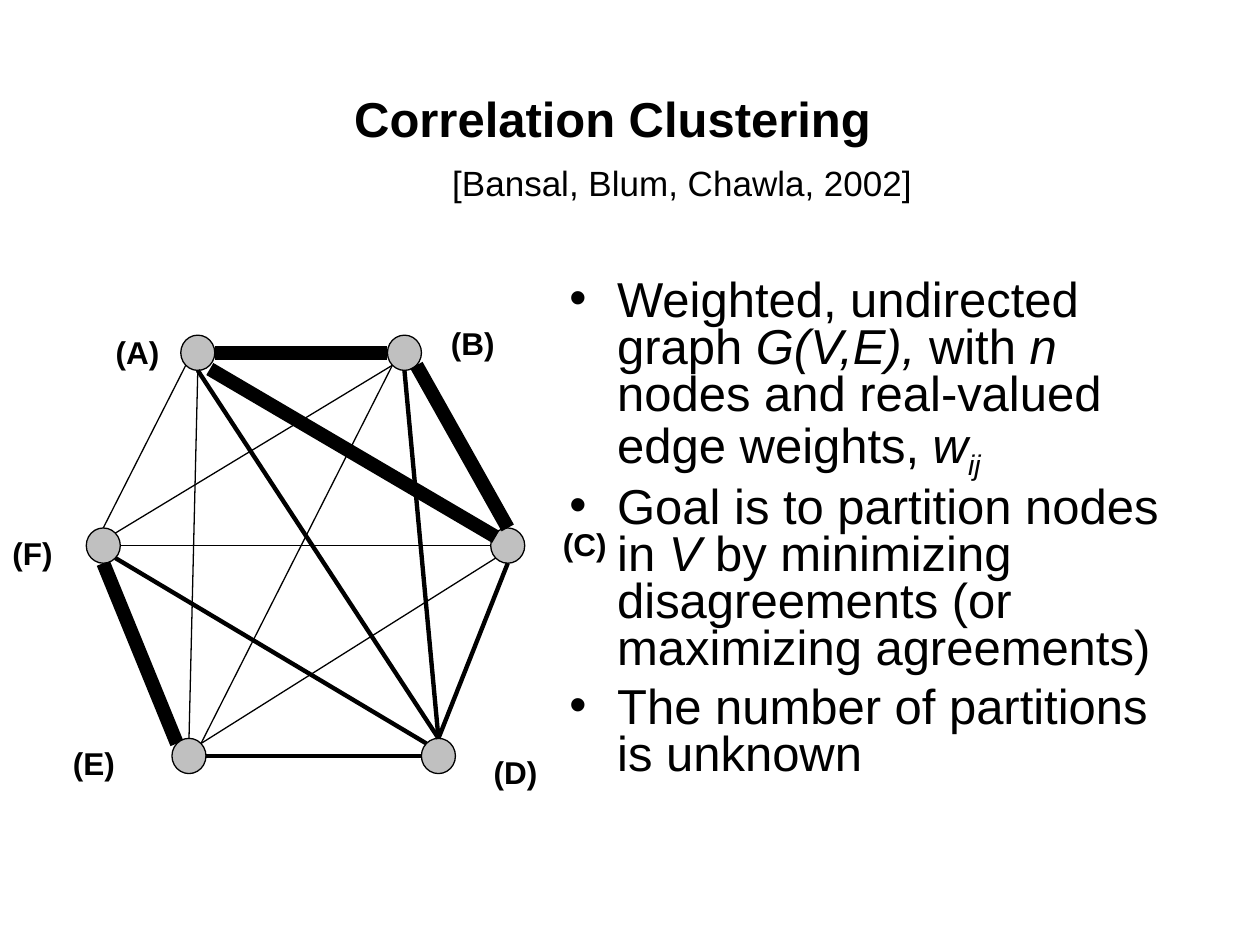
from dataclasses import dataclass, field

import pptx
import pptx.dml.color
import pptx.enum.shapes
import pptx.enum.text
import pptx.oxml.ns
import pptx.util
from lxml import etree

Inches = pptx.util.Inches
Pt = pptx.util.Pt
RGBColor = pptx.dml.color.RGBColor
MSO_SHAPE = pptx.enum.shapes.MSO_SHAPE
qn = pptx.oxml.ns.qn


@dataclass(frozen=True)
class Theme:
    font: str = "Arial"
    ink: RGBColor = field(default_factory=lambda: RGBColor(0, 0, 0))
    paper: RGBColor = field(default_factory=lambda: RGBColor(255, 255, 255))
    node: RGBColor = field(default_factory=lambda: RGBColor(0xC0, 0xC0, 0xC0))
    heading_size: float = 28
    citation_size: float = 20
    label_size: float = 18
    hairline: float = 0.75
    thin: float = 1
    medium: float = 2.5
    heavy: float = 8


@dataclass(frozen=True)
class Node:
    x: float  # centre
    y: float
    label_left: float
    label_top: float


@dataclass(frozen=True)
class Edge:
    start: str  # node and compass point on its rim, such as "A:SE"
    end: str
    weight: float
    drop: float = 0


@dataclass(frozen=True)
class Run:
    text: str
    italic: bool = False
    subscript: bool = False


THEME = Theme()
NODE_WIDTH, NODE_HEIGHT = 0.27, 0.28
LABEL_WIDTH, LABEL_HEIGHT = 0.54, 0.4

NODES = {
    "A": Node(1.57, 2.8, 0.82, 2.59),
    "B": Node(3.21, 2.8, 3.48, 2.52),
    "C": Node(4.03, 4.33, 4.37, 4.12),
    "D": Node(3.48, 6, 3.82, 5.93),
    "E": Node(1.5, 6, 0.48, 5.86),
    "F": Node(0.82, 4.33, 0, 4.19),
}
EDGES_BEHIND = (
    Edge("E:NW", "F:S", THEME.heavy),
    Edge("F:E", "C:W", THEME.thin),
    Edge("C:SW", "E:NE", THEME.hairline),
)
EDGES_IN_FRONT = (
    Edge("E:E", "D:W", THEME.medium),
    Edge("C:S", "D:N", THEME.medium),
    Edge("D:NW", "F:SE", THEME.medium),
    Edge("A:SW", "F:N", THEME.hairline),
    Edge("A:E", "B:W", THEME.heavy),
    Edge("C:N", "B:SE", THEME.heavy),
    Edge("A:SE", "C:NW", THEME.heavy, drop=0.03),
    Edge("A:S", "D:N", THEME.medium),
    Edge("A:S", "E:N", THEME.hairline),
    Edge("B:SW", "F:NE", THEME.hairline),
    Edge("B:S", "D:N", THEME.medium),
    Edge("B:SW", "E:NE", THEME.hairline),
)
BULLETS = (
    (
        Run("Weighted, undirected graph "), Run("G(V,E), ", True), Run("with "),
        Run("n", True), Run(" nodes and real-valued edge weights, "),
        Run("w", True), Run("ij", True, True),
    ),
    (
        Run("Goal is to partition nodes in "), Run("V", True),
        Run(" by minimizing disagreements (or maximizing agreements)"),
    ),
    (Run("The number of partitions is unknown"),),
)


def set_font(paragraph, size: float, bold: bool | None = None) -> None:
    font = paragraph.font
    font.name, font.size, font.bold = THEME.font, Pt(size), bold
    font.color.rgb = THEME.ink


def add_text_frame(slide, left: float, top: float, width: float, height: float):
    box = slide.shapes.add_textbox(
        Inches(left), Inches(top), Inches(width), Inches(height)
    )
    box.text_frame.word_wrap = True
    return box.text_frame


def add_bullet(paragraph, indent: float) -> None:
    properties = paragraph._p.get_or_add_pPr()
    properties.set("marL", str(Inches(indent)))
    properties.set("indent", str(Inches(-indent)))
    etree.SubElement(properties, qn("a:buFont"), typeface=THEME.font)
    etree.SubElement(properties, qn("a:buChar"), char="•")


def add_tab_stops(paragraph, count: int) -> None:
    tabs = etree.SubElement(paragraph._p.get_or_add_pPr(), qn("a:tabLst"))
    for inch in range(count):
        etree.SubElement(tabs, qn("a:tab"), pos=str(Inches(inch)), algn="l")


def add_body(slide) -> None:
    frame = add_text_frame(slide, 4.42, 2.17, 5.08, 4.5)
    for index, runs in enumerate(BULLETS):
        paragraph = frame.add_paragraph() if index else frame.paragraphs[0]
        paragraph.line_spacing = 0.8
        paragraph.space_before = Pt(7 if index else 0)
        add_bullet(paragraph, 0.38)
        set_font(paragraph, THEME.heading_size)
        for item in runs:
            run = paragraph.add_run()
            run.text = item.text
            if item.italic:
                run.font.italic = True
            if item.subscript:
                run.font._element.set("baseline", "-25000")


def add_title(slide) -> None:
    frame = add_text_frame(slide, 0.75, 0.67, 8.33, 1)
    frame.vertical_anchor = pptx.enum.text.MSO_ANCHOR.MIDDLE
    paragraph = frame.paragraphs[0]
    paragraph.alignment = pptx.enum.text.PP_ALIGN.CENTER
    add_tab_stops(paragraph, 8)
    set_font(paragraph, THEME.heading_size, bold=True)
    paragraph.add_run().text = "Correlation Clustering "
    paragraph.add_line_break()
    paragraph.add_run().text = "\t"
    citation = paragraph.add_run()
    citation.text = "[Bansal, Blum, Chawla, 2002]"
    citation.font.size, citation.font.bold = Pt(THEME.citation_size), False


def add_label(slide, name: str, node: Node) -> None:
    label = slide.shapes.add_shape(
        MSO_SHAPE.RECTANGLE, Inches(node.label_left), Inches(node.label_top),
        Inches(LABEL_WIDTH), Inches(LABEL_HEIGHT),
    )
    label.shadow.inherit = False
    label.fill.solid()
    label.fill.fore_color.rgb = THEME.paper
    label.line.fill.background()
    frame = label.text_frame
    frame.word_wrap = False
    frame.vertical_anchor = pptx.enum.text.MSO_ANCHOR.TOP
    paragraph = frame.paragraphs[0]
    paragraph.text = f"({name})"
    paragraph.alignment = pptx.enum.text.PP_ALIGN.LEFT
    set_font(paragraph, THEME.label_size, bold=True)


def add_node(slide, node: Node) -> None:
    circle = slide.shapes.add_shape(
        MSO_SHAPE.OVAL, Inches(node.x - NODE_WIDTH / 2),
        Inches(node.y - NODE_HEIGHT / 2), Inches(NODE_WIDTH), Inches(NODE_HEIGHT),
    )
    circle.shadow.inherit = False
    circle.fill.solid()
    circle.fill.fore_color.rgb = THEME.node
    circle.line.color.rgb = THEME.ink
    circle.line.width = Pt(THEME.hairline)


def rim_point(anchor: str) -> tuple[float, float]:
    name, compass = anchor.split(":")
    scale = 0.5 ** 0.5 if len(compass) == 2 else 1
    across = ("E" in compass) - ("W" in compass)
    down = ("S" in compass) - ("N" in compass)
    node = NODES[name]
    return (node.x + across * scale * NODE_WIDTH / 2,
            node.y + down * scale * NODE_HEIGHT / 2)


def add_edge(slide, edge: Edge) -> None:
    (x1, y1), (x2, y2) = rim_point(edge.start), rim_point(edge.end)
    line = slide.shapes.add_connector(
        pptx.enum.shapes.MSO_CONNECTOR.STRAIGHT, Inches(x1),
        Inches(y1 + edge.drop), Inches(x2), Inches(y2 + edge.drop),
    )
    line.line.color.rgb = THEME.ink
    line.line.width = Pt(edge.weight)
    etree.SubElement(line._element.spPr, qn("a:effectLst"))


def main() -> None:
    presentation = pptx.Presentation()
    presentation.slide_width, presentation.slide_height = Inches(10), Inches(7.5)
    slide = presentation.slides.add_slide(presentation.slide_layouts[6])

    # Text
    add_body(slide)
    add_title(slide)

    # Weighted graph
    for name, node in NODES.items():
        add_label(slide, name, node)
    for edge in EDGES_BEHIND:
        add_edge(slide, edge)
    for node in NODES.values():
        add_node(slide, node)
    for edge in EDGES_IN_FRONT:
        add_edge(slide, edge)

    presentation.save("out.pptx")


if __name__ == "__main__":
    main()
